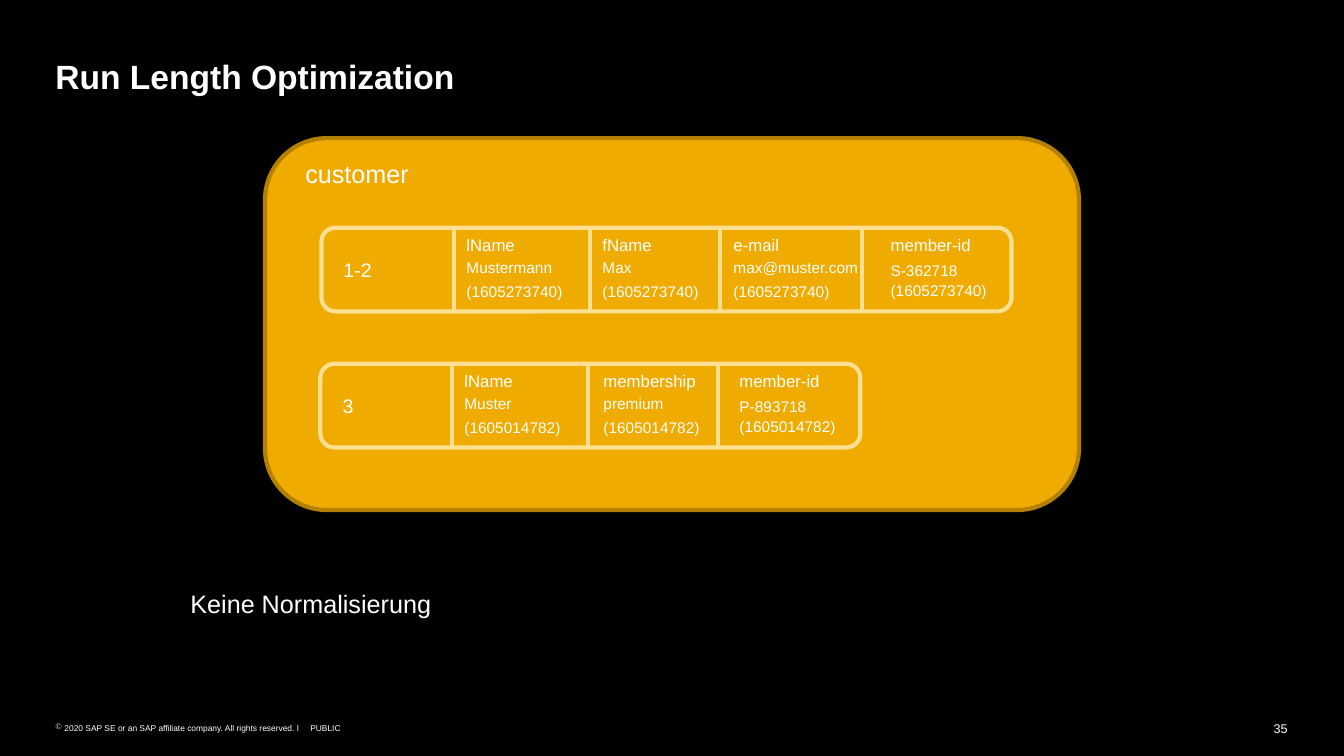
import pptx
import pptx.util
import pptx.dml.color
import pptx.enum.shapes
import pptx.enum.text
import lxml.etree
from pptx.oxml.ns import qn

Inches, Pt = pptx.util.Inches, pptx.util.Pt
RGBColor = pptx.dml.color.RGBColor
Align = pptx.enum.text.PP_ALIGN

# Colours
BLACK = RGBColor(0x00, 0x00, 0x00)
WHITE = RGBColor(0xFF, 0xFF, 0xFF)
GOLD = RGBColor(0xF0, 0xAB, 0x00)
DARK_GOLD = RGBColor(0xB4, 0x80, 0x00)
PALE_GOLD = RGBColor(0xFF, 0xE0, 0x93)

# Content: text, box (left, top, width, height), format
CAPTIONS = [
    ("Run Length Optimization", (0.55, 0.55, 12.23, 0.4), dict(size=24, bold=True)),
    ("customer", (3.03, 1.57, 1.91, 0.3), dict(size=18)),
    ("Keine Normalisierung", (1.89, 5.84, 8.67, 0.3), dict(size=18)),
    ("2020 SAP SE or an SAP affiliate company. All rights reserved. ǀ",
     (0.55, 7.17, 2.48, 0.1), dict(size=6, bullet="©")),
    ("PUBLIC", (3.08, 7.17, 0.4, 0.1), dict(size=6)),
    ("35", (12.48, 7.15, 0.3, 0.15), dict(size=9, align=Align.RIGHT)),
]
CUSTOMER_BOX = (2.63, 1.37, 8.08, 3.69)

# Each record: cells are (divider x, text inset, name, value, timestamp)
RECORDS = [
    dict(key="1-2", left=3.19, top=2.26, width=6.85, cells=[
        (4.51, 0.12, "lName", "Mustermann", "(1605273740)"),
        (5.86, 0.12, "fName", "Max", "(1605273740)"),
        (7.15, 0.13, "e-mail", "max@muster.com", "(1605273740)"),
        (8.56, 0.28, "member-id", "S-362718", "(1605273740)")]),
    dict(key="3", left=3.18, top=3.61, width=5.36, cells=[
        (4.49, 0.12, "lName", "Muster", "(1605014782)"),
        (5.84, 0.15, "membership", "premium", "(1605014782)"),
        (7.13, 0.21, "member-id", "P-893718", "(1605014782)")]),
]
RECORD_HEIGHT = 0.83
LINE_SIZES = (12, 11, 11)
LINE_TOPS = (0.07, 0.30, 0.54)
MEMBER_LINE_TOPS = (0.07, 0.33, 0.53)

presentation = pptx.Presentation()
presentation.slide_width = Inches(13.34)
presentation.slide_height = Inches(7.5)
slide = presentation.slides.add_slide(presentation.slide_layouts[6])
slide.background.fill.solid()
slide.background.fill.fore_color.rgb = BLACK


def add_text(text, box, size=11, bold=False, align=Align.LEFT, bullet=None):
    frame = slide.shapes.add_textbox(*map(Inches, box)).text_frame
    frame.margin_left = frame.margin_right = 0
    frame.margin_top = frame.margin_bottom = 0
    frame.word_wrap = True
    paragraph = frame.paragraphs[0]
    paragraph.alignment = align
    if bullet:
        properties = paragraph._p.get_or_add_pPr()
        properties.set("marL", str(Inches(0.09)))
        properties.set("indent", str(-Inches(0.09)))
        lxml.etree.SubElement(properties, qn("a:buChar")).set("char", bullet)
    run = paragraph.add_run()
    run.text = text
    for font in (paragraph.font, run.font):
        font.name = "Arial"
        font.size = Pt(size)
        font.bold = bold
        font.color.rgb = WHITE


def add_rounded_box(box, outline):
    shape = slide.shapes.add_shape(
        pptx.enum.shapes.MSO_SHAPE.ROUNDED_RECTANGLE, *map(Inches, box))
    shape.shadow.inherit = False
    shape.fill.solid()
    shape.fill.fore_color.rgb = GOLD
    shape.line.color.rgb = outline
    shape.line.width = Pt(3)


def add_divider(x, top):
    divider = slide.shapes.add_connector(
        pptx.enum.shapes.MSO_CONNECTOR.STRAIGHT,
        Inches(x), Inches(top), Inches(x), Inches(top + RECORD_HEIGHT))
    divider.line.color.rgb = PALE_GOLD
    divider.line.width = Pt(3)
    lxml.etree.SubElement(divider._element.spPr, qn("a:effectLst"))


# Customer container, title and footer
add_rounded_box(CUSTOMER_BOX, DARK_GOLD)
for caption, box, style in CAPTIONS:
    add_text(caption, box, **style)

# Records with their cells
for record in RECORDS:
    left, top, width = record["left"], record["top"], record["width"]
    cells = record["cells"]
    add_rounded_box((left, top, width, RECORD_HEIGHT), PALE_GOLD)
    add_text(record["key"], (left + 0.22, top + 0.3, 1, 0.24), size=14)
    cell_ends = [cell[0] for cell in cells[1:]] + [left + width]
    for (divider_x, inset, *lines), cell_end in zip(cells, cell_ends):
        add_divider(divider_x, top)
        text_left = divider_x + inset
        line_tops = MEMBER_LINE_TOPS if lines[0] == "member-id" else LINE_TOPS
        for line, line_top, size in zip(lines, line_tops, LINE_SIZES):
            add_text(line, (text_left, top + line_top, cell_end - text_left, 0.2),
                     size=size)

presentation.save("out.pptx")
